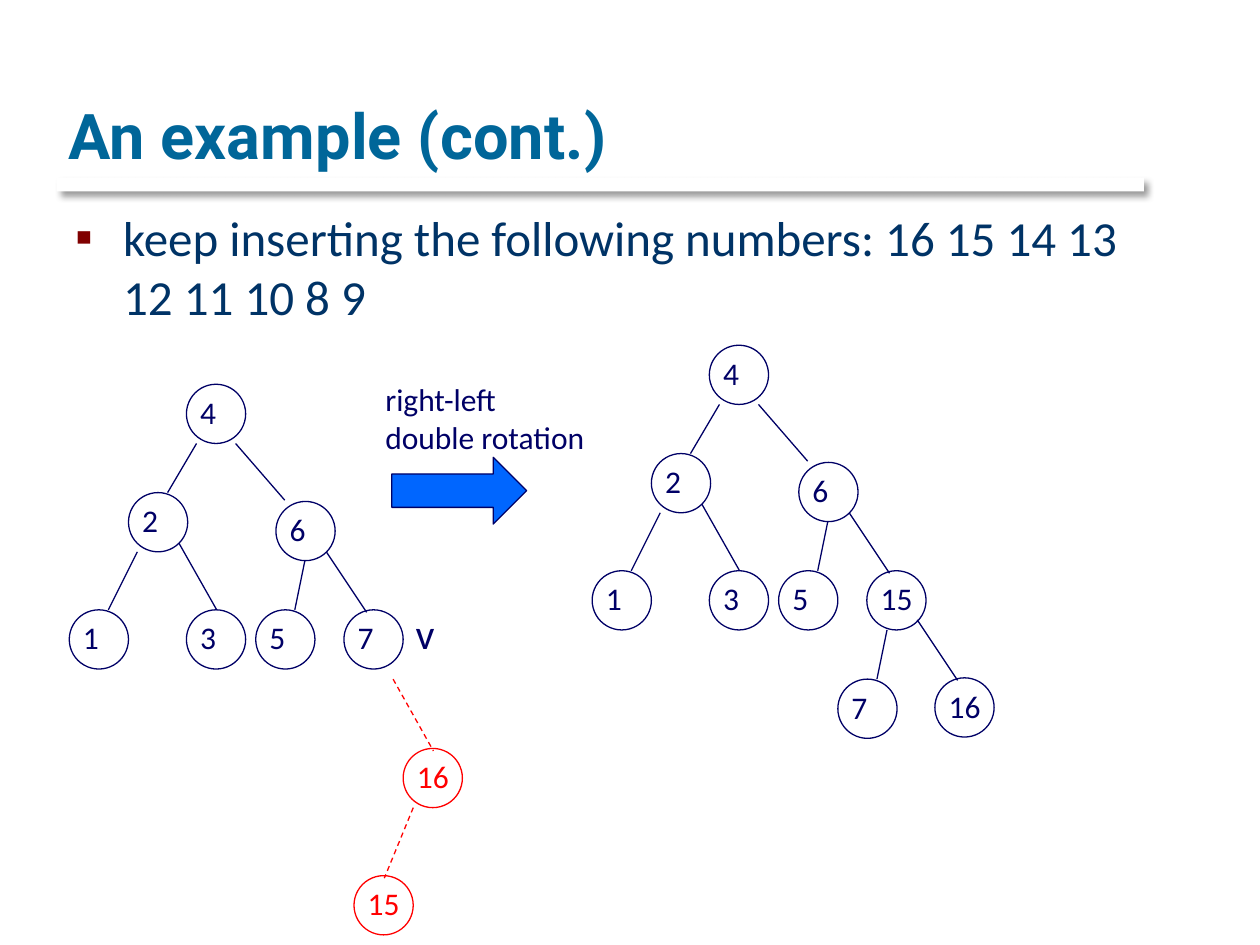
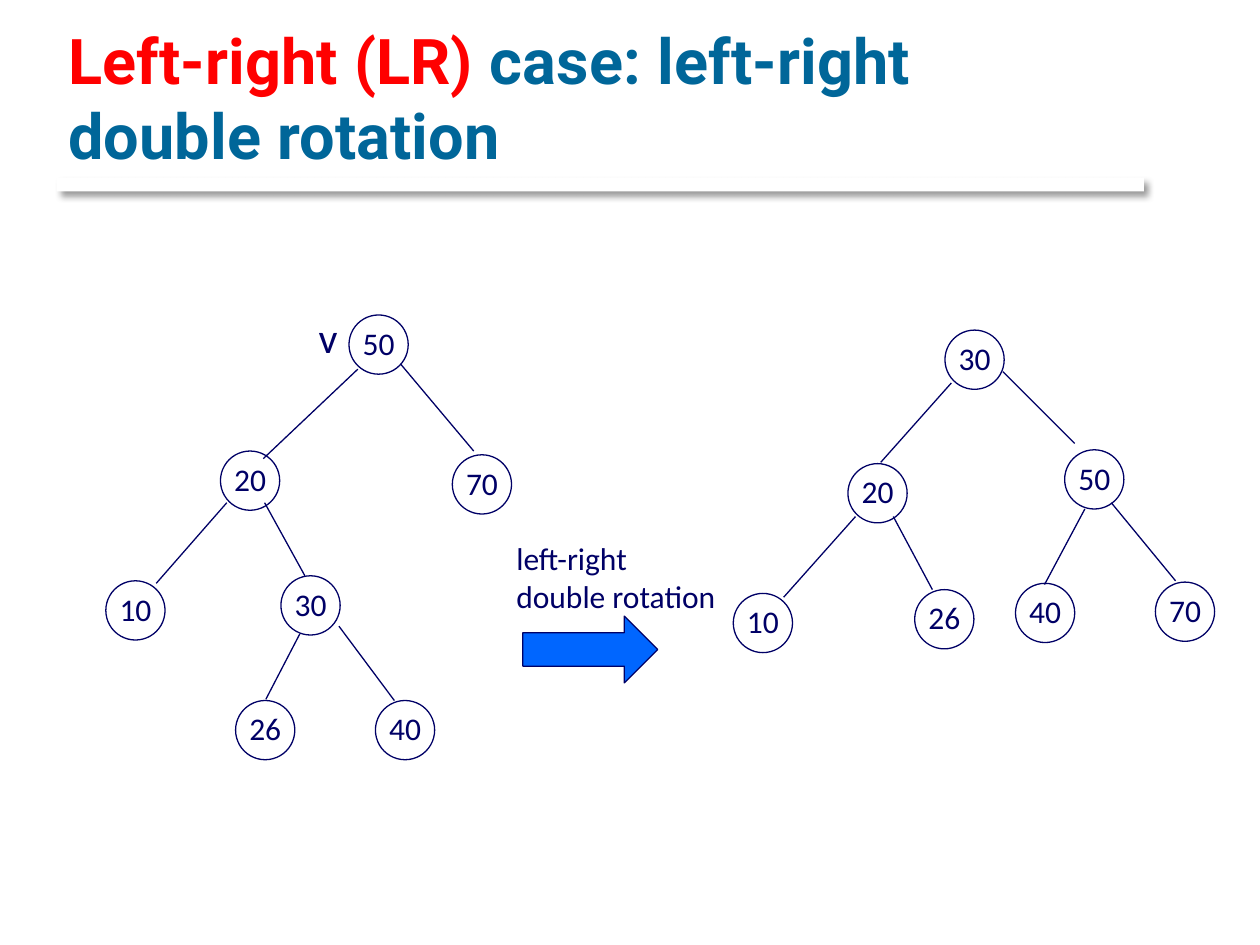
from dataclasses import dataclass

from lxml.etree import SubElement
from pptx import Presentation
from pptx.dml.color import RGBColor
from pptx.enum.dml import MSO_LINE_DASH_STYLE as Dash
from pptx.enum.shapes import MSO_CONNECTOR as Connector, MSO_SHAPE as Preset
from pptx.enum.text import MSO_ANCHOR as Anchor, MSO_AUTO_SIZE as AutoSize, PP_ALIGN as Align
from pptx.oxml import parse_xml
from pptx.oxml.ns import nsdecls, qn
from pptx.slide import Slide
from pptx.util import Inches, Pt

COLORS = {
    "title": "006699",
    "body": "003366",
    "bullet": "800000",
    "ink": "000066",
    "new": "FF0000",
    "arrow": "0066FF",
    "white": "FFFFFF",
}
TITLE_FONT = "Roboto"
BODY_FONT = "Calibri"
NODE_SIZE = 0.47
LINE_WIDTH = 0.75


@dataclass(frozen=True)
class Node:
    """A numbered circle, placed by its left top corner."""
    label: str
    left: float
    top: float


@dataclass(frozen=True)
class Edge:
    """A branch from a parent to a child."""
    x1: float
    y1: float
    x2: float
    y2: float


@dataclass(frozen=True)
class Tree:
    """Nodes and edges that share an origin and a colour."""
    nodes: tuple[Node, ...]
    edges: tuple[Edge, ...]
    left: float = 0
    top: float = 0
    color: str = "ink"
    dashed: bool = False


def color_of(name: str) -> RGBColor:
    """Look up a named colour."""
    return RGBColor.from_string(COLORS[name])


def add_span(para, text: str, size: float, color: str, font: str = BODY_FONT):
    """Append one formatted run to a paragraph."""
    span = para.add_run()
    span.text = text
    span.font.name = font
    span.font.size = Pt(size)
    span.font.color.rgb = color_of(color)
    return span


def add_label(shapes, lines: tuple[str, ...], left: float, top: float,
              width: float, height: float, size: float = 18, color: str = "ink") -> None:
    """Add an unwrapped text box with one paragraph per line."""
    box = shapes.add_textbox(Inches(left), Inches(top), Inches(width), Inches(height))
    frame = box.text_frame
    frame.word_wrap = False
    frame.auto_size = AutoSize.SHAPE_TO_FIT_TEXT
    for index, line in enumerate(lines):
        para = frame.add_paragraph() if index else frame.paragraphs[0]
        add_span(para, line, size, color)


def style_line(line, color: str) -> None:
    """Give an outline or a connector the thin line of the diagrams."""
    line.color.rgb = color_of(color)
    line.width = Pt(LINE_WIDTH)


def add_node(page: Slide, node: Node, tree: Tree) -> None:
    """Draw a circle grouped with its number."""
    left, top = tree.left + node.left, tree.top + node.top
    group = page.shapes.add_group_shape()
    circle = group.shapes.add_shape(Preset.OVAL, Inches(left), Inches(top),
                                    Inches(NODE_SIZE), Inches(NODE_SIZE))
    circle.shadow.inherit = False
    circle.fill.background()
    style_line(circle.line, tree.color)
    width = 0.21 + 0.12 * len(node.label)
    add_label(group.shapes, (node.label,), left + 0.01, top + 0.02, width, 0.4,
              color=tree.color)


def add_edge(page: Slide, edge: Edge, tree: Tree) -> None:
    """Draw one branch of a tree."""
    line = page.shapes.add_connector(
        Connector.STRAIGHT,
        Inches(tree.left + edge.x1), Inches(tree.top + edge.y1),
        Inches(tree.left + edge.x2), Inches(tree.top + edge.y2))
    style_line(line.line, tree.color)
    if tree.dashed:
        line.line.dash_style = Dash.DASH
    SubElement(line._element.spPr, qn("a:effectLst"))


def add_tree(page: Slide, tree: Tree) -> None:
    """Draw all branches and nodes of a tree."""
    for edge in tree.edges:
        add_edge(page, edge, tree)
    for node in tree.nodes:
        add_node(page, node, tree)


def add_rotation(page: Slide, kind: str, left: float, top: float) -> None:
    """Draw the block arrow with its two-line caption above it."""
    arrow = page.shapes.add_shape(Preset.RIGHT_ARROW, Inches(left + 0.15),
                                  Inches(top + 0.66), Inches(1.07), Inches(0.53))
    arrow.shadow.inherit = False
    arrow.fill.solid()
    arrow.fill.fore_color.rgb = color_of("arrow")
    style_line(arrow.line, "ink")
    add_label(page.shapes, (kind, "double rotation"), left, top, 1.8, 0.71)


def add_rule(page: Slide) -> None:
    """Draw the white band whose soft shadow underlines the title."""
    band = page.shapes.add_shape(Preset.RECTANGLE, Inches(0.45), Inches(1.41),
                                 Inches(8.63), Inches(0.11))
    band.fill.solid()
    band.fill.fore_color.rgb = color_of("white")
    band.line.fill.background()
    band._element.spPr.append(parse_xml(
        f'<a:effectLst {nsdecls("a")}>'
        f'<a:outerShdw blurRad="{Pt(4)}" dist="{Pt(3)}" dir="2700000" algn="tl" rotWithShape="0">'
        '<a:srgbClr val="000000"><a:alpha val="40000"/></a:srgbClr>'
        '</a:outerShdw></a:effectLst>'))


def add_page(deck, title: tuple[tuple[str, str], ...]) -> Slide:
    """Add a slide with the shared rule and a title of (text, colour) spans."""
    page = deck.slides.add_slide(deck.slide_layouts[5])
    add_rule(page)
    box = page.shapes.title
    box.left, box.top = Inches(0.44), Inches(0.17)
    box.width, box.height = Inches(8.5), Inches(1.25)
    frame = box.text_frame
    frame.word_wrap = True
    frame.auto_size = AutoSize.NONE
    frame.vertical_anchor = Anchor.BOTTOM
    para = frame.paragraphs[0]
    para.alignment = Align.LEFT
    for text, color in title:
        span = add_span(para, text, 36, color, TITLE_FONT)
        span.font.bold = True
        span._r.get_or_add_rPr().set("spc", "10")
    return page


def add_bullet(page: Slide, text: str) -> None:
    """Add the body text with a square bullet and a hanging indent."""
    box = page.shapes.add_textbox(Inches(0.5), Inches(1.6), Inches(8.94), Inches(5.03))
    box.text_frame.word_wrap = True
    para = box.text_frame.paragraphs[0]
    para.space_before = Pt(5.6)
    add_span(para, text, 28, "body")
    props = para._p.get_or_add_pPr()
    props.set("marL", str(Inches(0.38)))
    props.set("indent", str(-Inches(0.38)))
    tint = SubElement(props, qn("a:buClr"))
    SubElement(tint, qn("a:srgbClr")).set("val", COLORS["bullet"])
    SubElement(props, qn("a:buFont")).set("typeface", BODY_FONT)
    SubElement(props, qn("a:buChar")).set("char", "▪")


def seven_node_tree(last: str, left: float, top: float) -> Tree:
    """Build the tree rooted at 4; only its last leaf varies."""
    nodes = (Node("4", 0.93, 0), Node("2", 0.47, 0.86), Node("6", 1.64, 0.93),
             Node("1", 0, 1.79), Node("3", 0.93, 1.79), Node("5", 1.48, 1.79),
             Node(last, 2.18, 1.79))
    edges = (Edge(1.01, 0.47, 0.78, 0.86), Edge(1.32, 0.47, 1.71, 0.92),
             Edge(0.54, 1.33, 0.31, 1.79), Edge(0.87, 1.26, 1.17, 1.79),
             Edge(1.87, 1.4, 1.79, 1.79), Edge(2.04, 1.33, 2.36, 1.81))
    return Tree(nodes, edges, left, top)


INSERTED = Tree(
    (Node("16", 3.2, 5.94), Node("15", 2.81, 6.95)),
    (Edge(3.12, 5.39, 3.44, 5.96), Edge(3.28, 6.41, 3.05, 6.97)),
    color="new", dashed=True)
NEW_LEAVES = Tree(
    (Node("7", 6.65, 5.39), Node("16", 7.42, 5.38)),
    (Edge(7.04, 5, 6.96, 5.39), Edge(7.28, 4.92, 7.6, 5.4)))
BEFORE = Tree(
    (Node("50", 2.77, 2.5), Node("20", 1.75, 3.58), Node("70", 3.59, 3.61),
     Node("10", 0.84, 4.61), Node("30", 2.23, 4.57), Node("26", 1.87, 5.56),
     Node("40", 2.98, 5.56)),
    (Edge(2.84, 2.93, 2.09, 3.64), Edge(3.18, 2.89, 3.76, 3.58),
     Edge(1.8, 3.99, 1.24, 4.63), Edge(2.1, 3.99, 2.42, 4.57),
     Edge(2.38, 5.03, 2.11, 5.55), Edge(2.69, 4.97, 3.13, 5.56)))
AFTER = Tree(
    (Node("30", 7.5, 2.62), Node("20", 6.73, 3.68), Node("50", 8.45, 3.57),
     Node("10", 5.82, 4.71), Node("26", 7.26, 4.68), Node("40", 8.06, 4.63),
     Node("70", 9.17, 4.62)),
    (Edge(7.55, 3.04, 6.99, 3.67), Edge(7.96, 2.95, 8.53, 3.52),
     Edge(6.79, 4.1, 6.22, 4.74), Edge(7.09, 4.1, 7.4, 4.68),
     Edge(8.61, 4.04, 8.29, 4.64), Edge(8.82, 3.99, 9.33, 4.61)))


def build_example(deck) -> None:
    """Slide 1: inserting 16 and 15, then rebalancing."""
    page = add_page(deck, (("An example (cont.)", "title"),))
    add_bullet(page, "keep inserting the following numbers: 16 15 14 13 12 11 10 8 9")
    trees = (seven_node_tree("7", 0.55, 3.05), INSERTED,
             seven_node_tree("15", 4.7, 2.74), NEW_LEAVES)
    for tree in trees:
        add_tree(page, tree)
    add_label(page.shapes, ("v",), 3.2, 4.77, 0.35, 0.5, size=24)
    add_rotation(page, "right-left", 2.96, 2.97)


def build_left_right_case(deck) -> None:
    """Slide 2: the left-right case before and after rotation."""
    page = add_page(deck, (("Left-right (LR)", "new"),
                           (" case: left-right double rotation", "title")))
    for tree in (BEFORE, AFTER):
        add_tree(page, tree)
    add_label(page.shapes, ("v",), 2.43, 2.42, 0.35, 0.5, size=24)
    add_rotation(page, "left-right", 4, 4.23)


def main() -> None:
    """Build and save the deck."""
    deck = Presentation()
    deck.slide_width, deck.slide_height = Inches(10), Inches(7.5)
    build_example(deck)
    build_left_right_case(deck)
    deck.save("out.pptx")


main()
